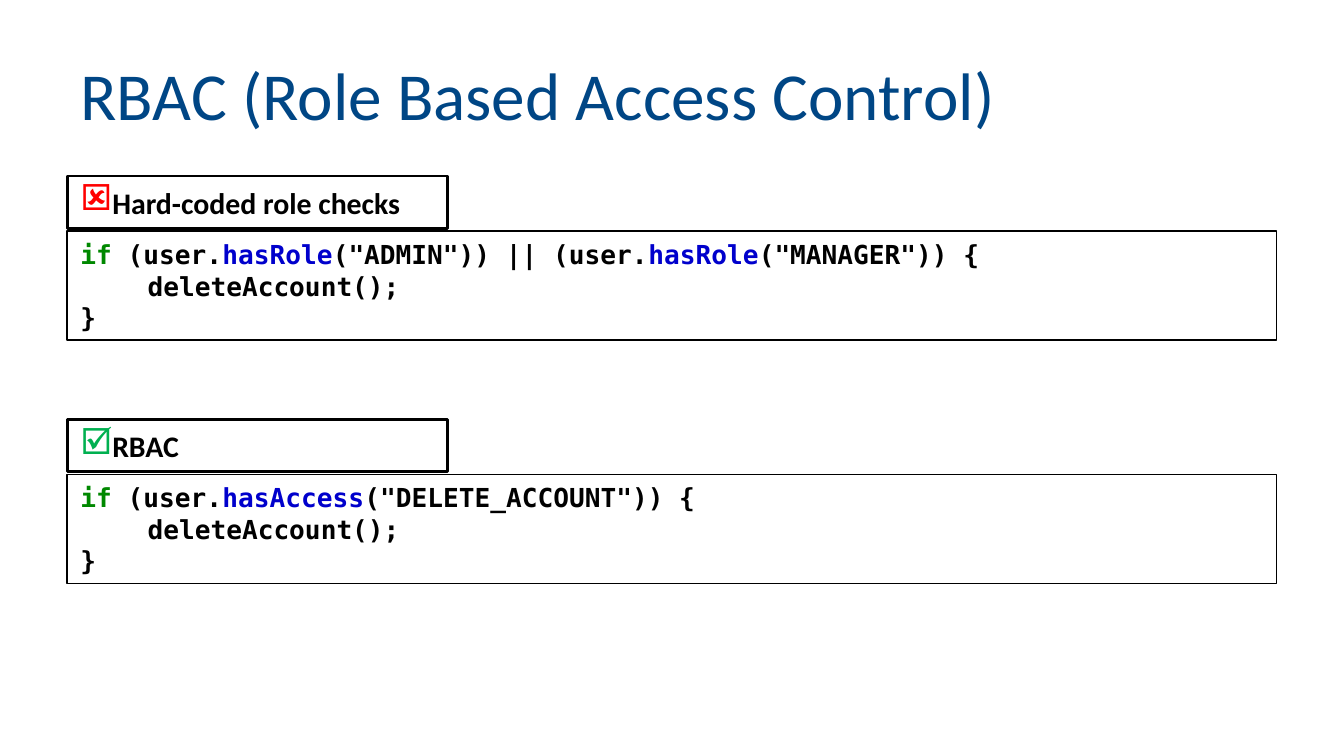
from dataclasses import dataclass

from lxml.etree import SubElement
from pptx import Presentation
from pptx.dml.color import RGBColor
from pptx.enum.shapes import MSO_SHAPE
from pptx.enum.text import MSO_ANCHOR, PP_ALIGN
from pptx.oxml.ns import qn
from pptx.util import Inches, Pt


@dataclass(frozen=True)
class Theme:
    title: str = "004685"
    text: str = "000000"
    keyword: str = "008800"
    method: str = "0000CC"
    bad: str = "FF0000"
    good: str = "00B050"
    body_font: str = "Calibri"
    code_font: str = "DejaVu Sans Mono"
    title_size: int = 36
    label_size: int = 16
    code_size: int = 14


THEME = Theme()


def style(r, font, size, color, bold=False):
    r.font.name = font
    r.font.size = Pt(size)
    r.font.bold = bold
    r.font.color.rgb = RGBColor.from_string(color)


def add_title(slide, text, left, top, width, height):
    s = slide.shapes.add_textbox(Inches(left), Inches(top), Inches(width), Inches(height))
    tf = s.text_frame
    tf.word_wrap = True
    tf.vertical_anchor = MSO_ANCHOR.MIDDLE
    tf.text = text
    style(tf.paragraphs[0].runs[0], THEME.body_font, THEME.title_size, THEME.title)


def add_frame(slide, left, top, width, height, line_width, wrap):
    s = slide.shapes.add_shape(
        MSO_SHAPE.RECTANGLE, Inches(left), Inches(top), Inches(width), Inches(height))
    s.shadow.inherit = False
    s.fill.background()
    s.line.color.rgb = RGBColor.from_string(THEME.text)
    s.line.width = Pt(line_width)
    tf = s.text_frame
    tf.word_wrap = wrap
    tf.vertical_anchor = MSO_ANCHOR.MIDDLE
    return tf


def add_bullet(p, char, color):
    pPr = p._p.get_or_add_pPr()
    pPr.set("marL", "0")
    pPr.set("indent", str(Inches(-0.29)))
    SubElement(SubElement(pPr, qn("a:buClr")), qn("a:srgbClr"), val=color)
    SubElement(pPr, qn("a:buSzPct"), val="120000")
    SubElement(pPr, qn("a:buChar"), char=char)


def add_tab(p, position):
    tabs = SubElement(p._p.get_or_add_pPr(), qn("a:tabLst"))
    SubElement(tabs, qn("a:tab"), pos=str(Inches(position)), algn="l")


def add_example(slide, label, mark, mark_color, align, code, left, top, width):
    tf = add_frame(slide, left, top, 2.83, 0.39, 1.5, False)
    tf.text = label
    p = tf.paragraphs[0]
    p.alignment = align
    p.space_after = Pt(6)
    add_bullet(p, mark, mark_color)
    style(p.runs[0], THEME.body_font, THEME.label_size, THEME.text, True)

    tf = add_frame(slide, left, top + 0.41, width, 0.81, 0.75, True)
    for i, line in enumerate(code):
        p = tf.paragraphs[0] if i == 0 else tf.add_paragraph()
        p.alignment = PP_ALIGN.LEFT
        add_tab(p, 0.5)
        for text, color in line:
            r = p.add_run()
            r.text = text
            style(r, THEME.code_font, THEME.code_size, color, True)


def main():
    prs = Presentation()
    prs.slide_width = Inches(10)
    prs.slide_height = Inches(10) * 9 // 16
    slide = prs.slides.add_slide(prs.slide_layouts[6])
    left, width = 0.5, 9
    add_title(slide, "RBAC (Role Based Access Control)", left, 0.23, width, 0.94)

    opening = [("if", THEME.keyword), (" (user.", THEME.text)]
    body = [[("\tdeleteAccount();", THEME.text)], [("}", THEME.text)]]
    role_check = opening + [
        ("hasRole", THEME.method), ('("ADMIN")) || (user.', THEME.text),
        ("hasRole", THEME.method), ('("MANAGER")) {', THEME.text)]
    access_check = opening + [
        ("hasAccess", THEME.method), ('("DELETE_ACCOUNT")) {', THEME.text)]
    examples = [
        ("Hard-coded role checks", "☒", THEME.bad, PP_ALIGN.LEFT, role_check),
        ("RBAC", "☑", THEME.good, PP_ALIGN.JUSTIFY, access_check),
    ]
    for i, (label, mark, color, align, check) in enumerate(examples):
        add_example(slide, label, mark, color, align, [check] + body,
                    left, 1.31 + i * 1.81, width)
    prs.save("out.pptx")


if __name__ == "__main__":
    main()
